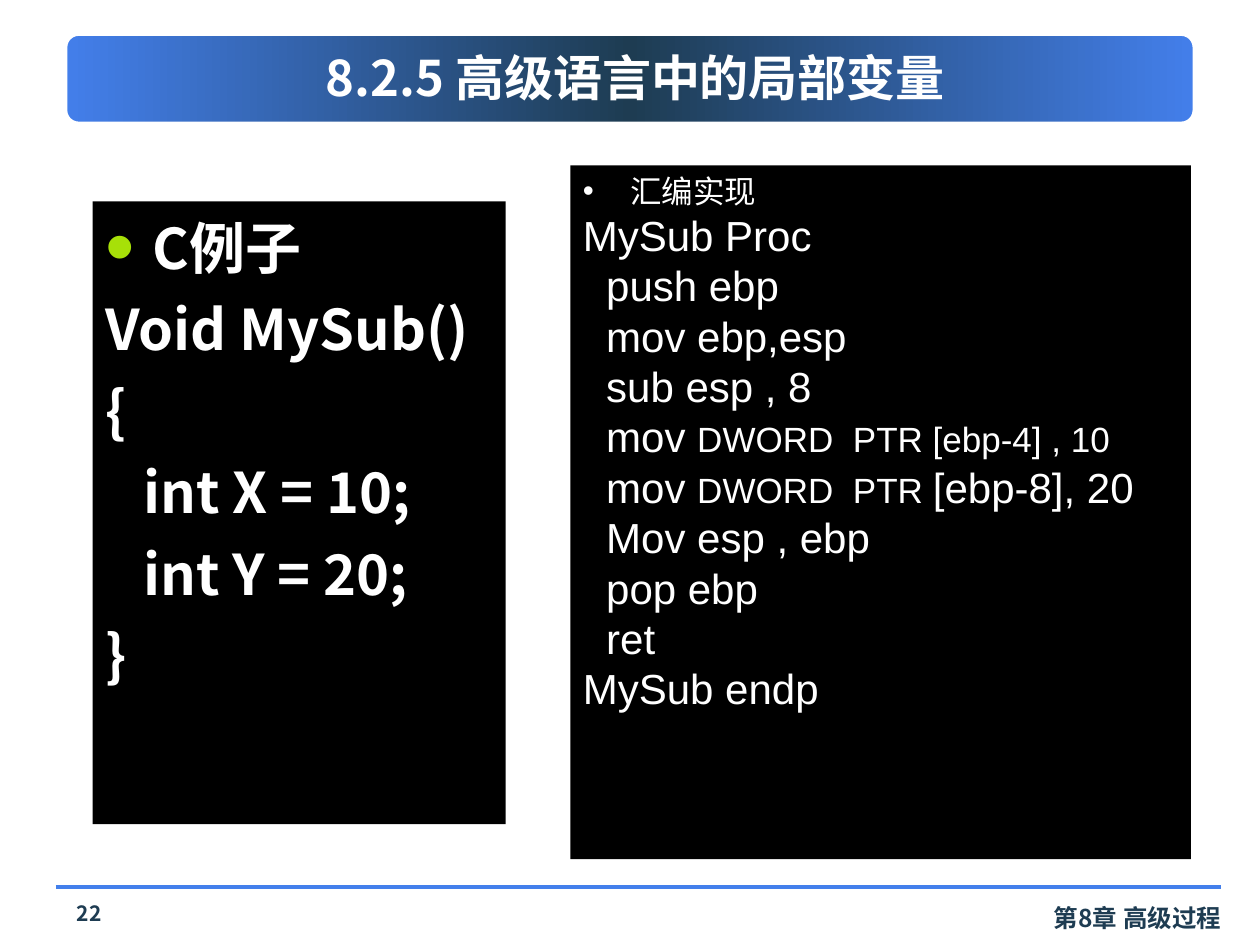
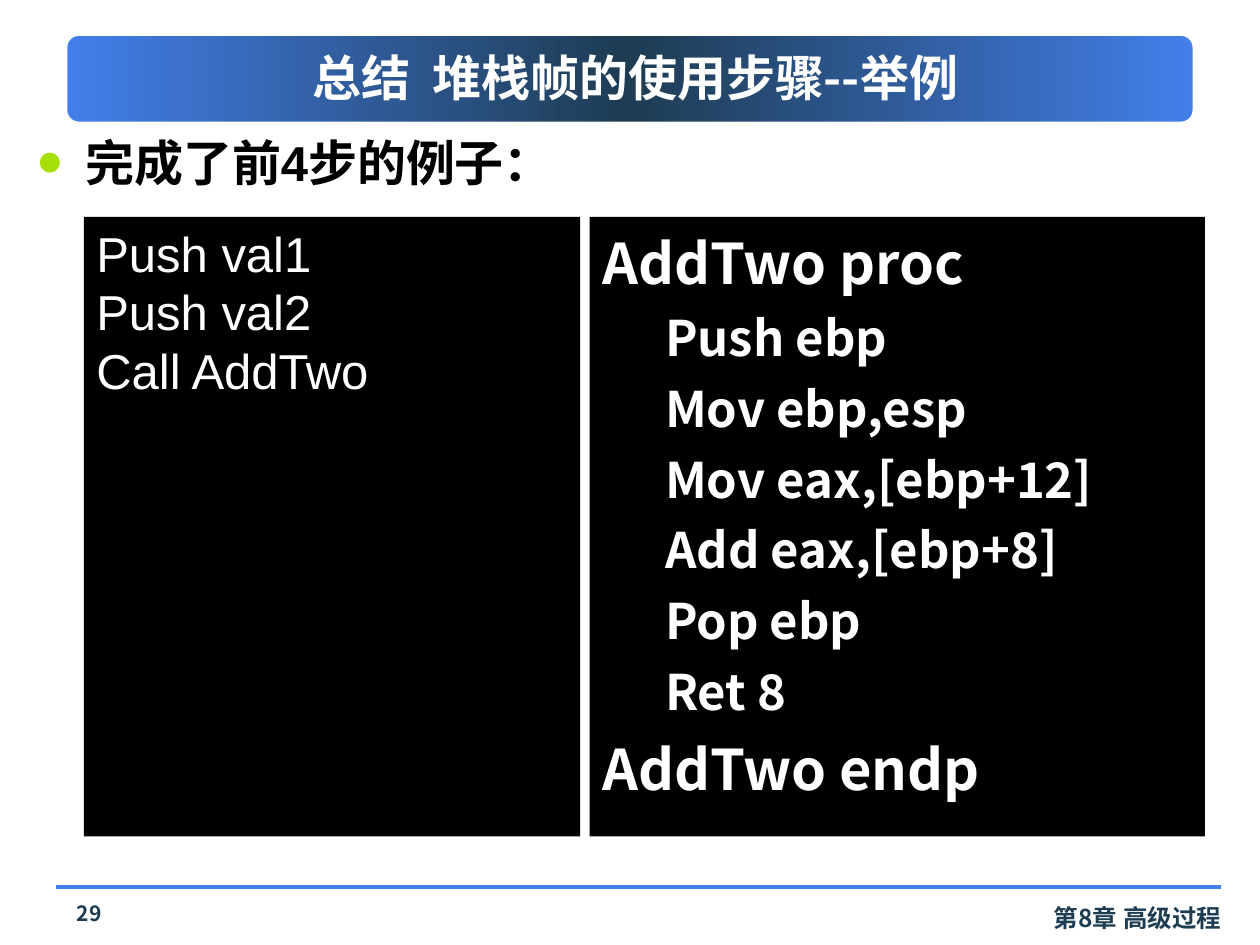
"""Build two lesson slides on local variables and stack frames."""
from copy import deepcopy
from dataclasses import dataclass

from lxml.etree import SubElement
from pptx import Presentation
from pptx.dml.color import RGBColor as RGB
from pptx.enum.shapes import MSO_CONNECTOR as CONNECTOR, MSO_SHAPE as SHAPE
from pptx.enum.text import MSO_ANCHOR as ANCHOR, MSO_AUTO_SIZE as AUTOSIZE, PP_ALIGN as ALIGN
from pptx.oxml.ns import qn
from pptx.util import Pt


@dataclass(frozen=True)
class Theme:
    blue: str = "437FEB"
    navy: str = "1E3C52"
    lime: str = "A7E008"
    white: str = "FFFFFF"
    black: str = "000000"
    sans: str = "Noto Sans CJK SC"
    arial: str = "Arial"
    code: int = 32
    title: int = 28
    listing: int = 24
    operand: int = 20
    caption: int = 18
    footer: int = 14
    number: int = 12

    def leading(self, font):
        return 1.3 if font == self.sans else 1.2


@dataclass(frozen=True)
class Line:
    text: str
    size: int
    before: float = 0
    left: float = 27
    hang: float = 27
    bullet: str = ""
    bullet_size: int = 100
    tail: tuple = ()


class Deck:
    def __init__(self, theme):
        self.t = theme
        self.prs = Presentation()
        self.prs.slide_width, self.prs.slide_height = Pt(720), Pt(540)
        self.s = None

    def slide(self, layout, title, number):
        self.s = self.prs.slides.add_slide(self.prs.slide_layouts[layout])
        self.band()
        self.rule()
        self.label("第8章 高级过程", (534, 511, 171, 25), self.t.footer, ALIGN.RIGHT)
        self.title(title)
        self.label(str(number), (30, 510, 42, 24), self.t.number, ALIGN.CENTER)

    def band(self):
        sp = self.s.shapes.add_shape(SHAPE.ROUNDED_RECTANGLE, Pt(36), Pt(18), Pt(648), Pt(54))
        sp.shadow.inherit = False
        sp.line.color.rgb = RGB.from_string(self.t.white)
        sp.line.width = Pt(5)
        sp.fill.gradient()
        sp.fill.gradient_angle = 0
        stops = sp.element.spPr.find(".//" + qn("a:gsLst"))
        stops.append(deepcopy(stops[0]))
        for i, stop in enumerate(sp.fill.gradient_stops):
            stop.position = i / 2
            stop.color.rgb = RGB.from_string(self.t.navy if i == 1 else self.t.blue)

    def rule(self):
        cx = self.s.shapes.add_connector(CONNECTOR.STRAIGHT, Pt(32), Pt(507), Pt(698), Pt(507))
        cx.line.color.rgb = RGB.from_string(self.t.blue)
        cx.line.width = Pt(2)
        SubElement(cx.element.spPr, qn("a:effectLst"))

    def place(self, sp, box):
        sp.left, sp.top, sp.width, sp.height = map(Pt, box)
        sp.element.getparent().append(sp.element)
        sp.text_frame.auto_size = AUTOSIZE.NONE
        sp.text_frame.word_wrap = True

    def style(self, r, size, font, color, bold):
        r.font.size, r.font.name, r.font.bold = Pt(size), font, bold
        r.font.color.rgb = RGB.from_string(color)
        SubElement(r.font._element, qn("a:ea"), typeface=self.t.sans)

    def title(self, text):
        sp = self.s.shapes.title
        self.place(sp, (48, 20, 630, 48))
        tf = sp.text_frame
        tf.text, tf.vertical_anchor = text, ANCHOR.MIDDLE
        p = tf.paragraphs[0]
        p.alignment = ALIGN.CENTER
        self.style(p.runs[0], self.t.title, self.t.sans, self.t.white, True)

    def label(self, text, box, size, align):
        sp = self.s.shapes.add_textbox(*map(Pt, box))
        sp.text_frame.word_wrap = True
        self.set_lines(sp.text_frame, [Line(text, size, left=0, hang=0)],
                       self.t.sans, self.t.navy, True, align)

    def body(self, lines, box):
        sp = self.s.placeholders[1]
        self.place(sp, box)
        self.set_lines(sp.text_frame, lines, self.t.arial, self.t.black, True,
                       bullet_color=self.t.lime)

    def panel(self, lines, box, font, bold, bullet_color=None):
        sp = self.s.shapes.add_shape(SHAPE.RECTANGLE, *map(Pt, box))
        sp.shadow.inherit = False
        sp.fill.solid()
        sp.fill.fore_color.rgb = RGB.from_string(self.t.black)
        sp.line.fill.background()
        sp.text_frame.vertical_anchor = ANCHOR.TOP
        self.set_lines(sp.text_frame, lines, font, self.t.white, bold,
                       bullet_color=bullet_color)

    def set_lines(self, tf, lines, font, color, bold, align=ALIGN.LEFT, bullet_color=None):
        for i, line in enumerate(lines):
            p = tf.add_paragraph() if i else tf.paragraphs[0]
            p.text = line.text
            for text, _ in line.tail:
                p.add_run().text = text
            self.indent(p, line, bullet_color)
            p.alignment = align
            p.line_spacing = Pt(self.t.leading(font) * line.size)
            p.space_before = Pt(line.before if i else 0)
            sizes = [line.size] + [size for _, size in line.tail]
            for r, size in zip(p.runs, sizes):
                self.style(r, size, font, color, bold)

    def indent(self, p, line, bullet_color):
        pPr = p._p.get_or_add_pPr()
        pPr.set("marL", str(Pt(line.left)))
        pPr.set("indent", str(-Pt(line.hang)))
        if line.bullet:
            SubElement(SubElement(pPr, qn("a:buClr")), qn("a:srgbClr"), val=bullet_color)
            SubElement(pPr, qn("a:buSzPct"), val=str(line.bullet_size * 1000))
            SubElement(pPr, qn("a:buFont"), typeface=self.t.arial)
            SubElement(pPr, qn("a:buChar"), char=line.bullet)
        else:
            SubElement(pPr, qn("a:buNone"))


def local_variables(deck):
    t = deck.t
    deck.slide(5, "8.2.5 高级语言中的局部变量", 22)
    c_code = ["Void MySub()", "{", "   int X = 10;", "   int Y = 20;", "}"]
    deck.panel([Line("C例子", t.code, bullet="•", bullet_size=150)]
               + [Line(text, t.code, before=5) for text in c_code],
               (53, 115, 236, 356), t.sans, True, t.lime)
    opening = ["MySub Proc", "  push ebp", "  mov ebp,esp", "  sub esp , 8"]
    closing = ["  Mov esp , ebp", "  pop ebp", "  ret", "MySub endp"]
    stores = [
        Line("  mov ", t.listing, tail=(("DWORD  PTR [ebp-4] , 10", t.operand),)),
        Line("  mov ", t.listing,
             tail=(("DWORD  PTR ", t.operand), ("[ebp-8], 20", t.listing))),
    ]
    deck.panel([Line("汇编实现", t.caption, bullet="•")]
               + [Line(text, t.listing) for text in opening] + stores
               + [Line(text, t.listing) for text in closing],
               (326, 94.5, 354.5, 396.5), t.arial, False, t.white)


def stack_frame_example(deck):
    t = deck.t
    deck.slide(1, "总结  堆栈帧的使用步骤--举例", 29)
    deck.body([Line("完成了前4步的例子：", t.title, bullet="•", bullet_size=150)],
              (14.5, 72, 687.5, 435))
    steps = ["Push ebp", "Mov ebp,esp", "Mov eax,[ebp+12]", "Add eax,[ebp+8]",
             "Pop ebp", "Ret 8"]
    deck.panel([Line("AddTwo proc", t.code)]
               + [Line(text, t.title, before=4, left=58.5, hang=22.5) for text in steps]
               + [Line("AddTwo endp", t.code, before=5)],
               (337, 124, 351.5, 354), t.sans, True)
    calls = ["Push val1", "Push val2", "Call AddTwo"]
    deck.panel([Line(text, t.title) for text in calls], (48, 124, 283.5, 354), t.arial, False)


def main():
    deck = Deck(Theme())
    local_variables(deck)
    stack_frame_example(deck)
    deck.prs.save("out.pptx")


if __name__ == "__main__":
    main()
